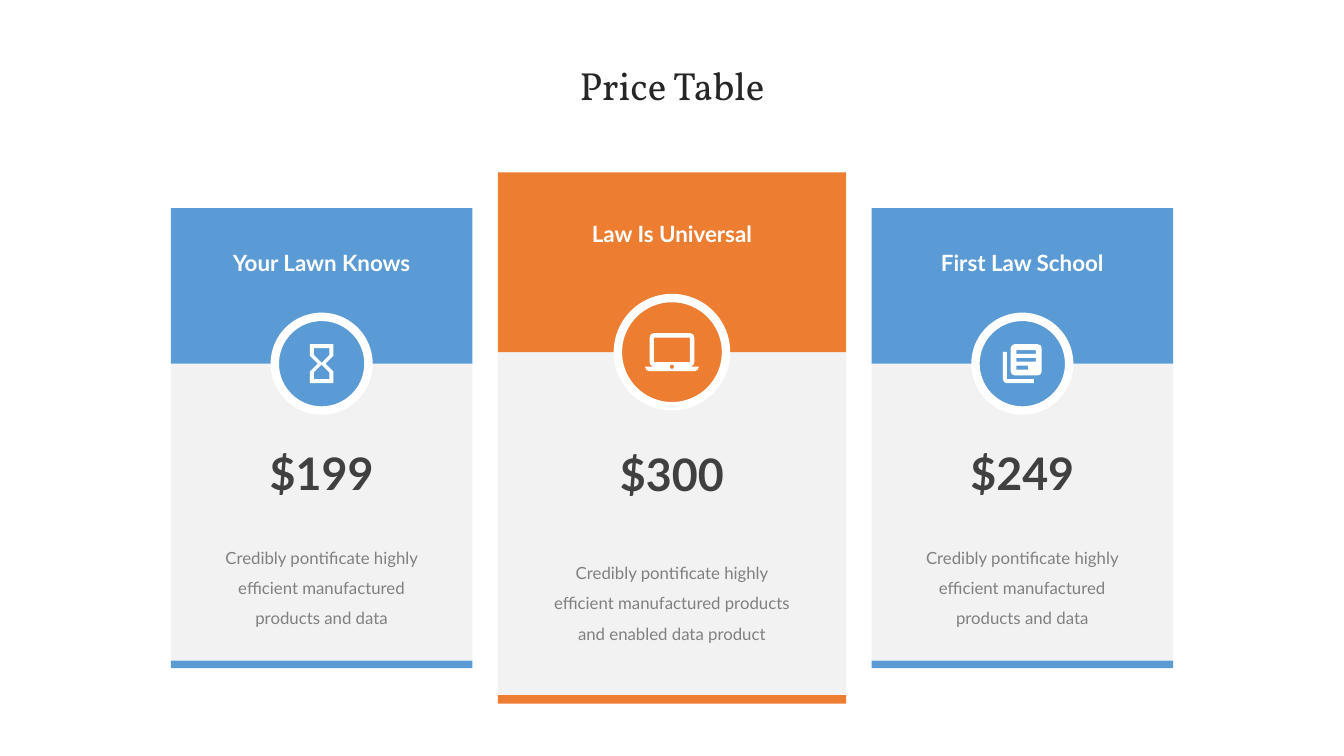
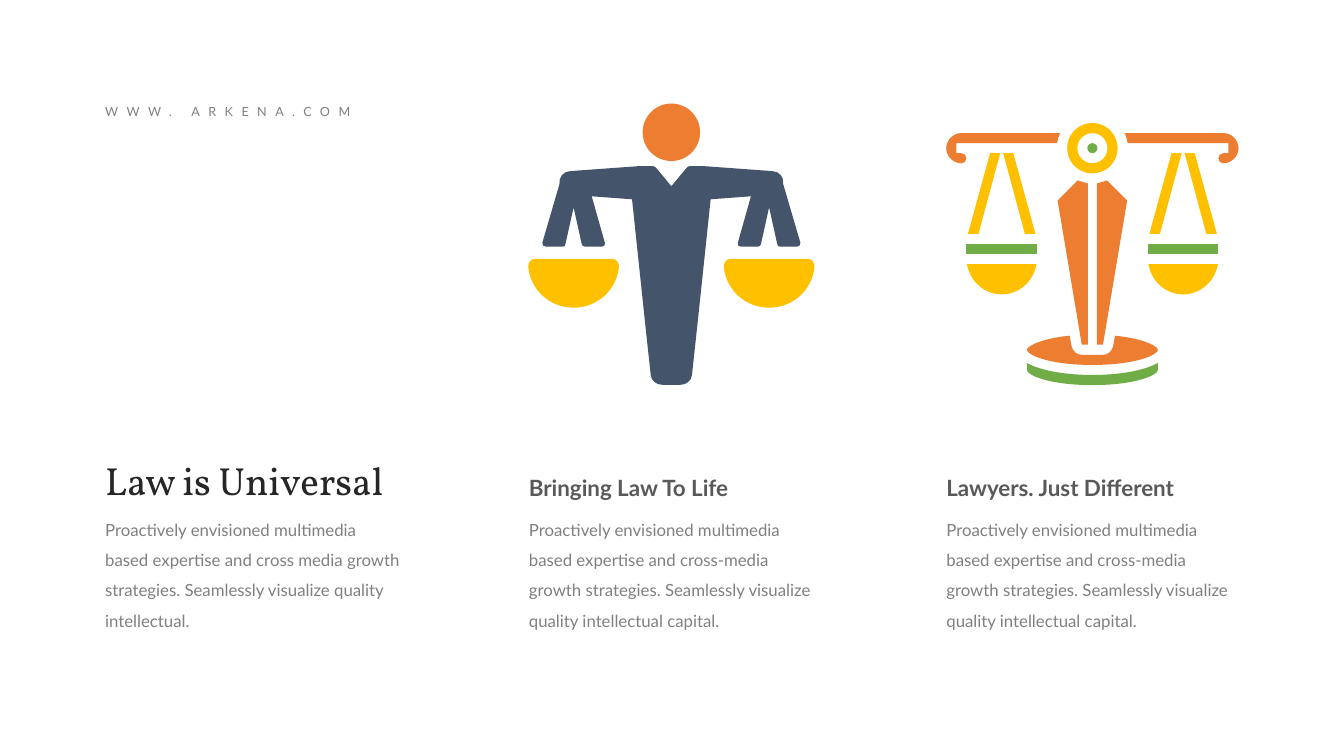
from pptx import Presentation
from pptx.dml.color import RGBColor
from pptx.enum.shapes import MSO_SHAPE
from pptx.enum.text import MSO_ANCHOR, MSO_AUTO_SIZE, PP_ALIGN
from pptx.oxml.ns import qn
from pptx.util import Cm, Pt

BLUE, ORANGE, YELLOW, GREEN = "5B9BD5", "ED7D31", "FFC000", "70AD47"
NAVY, WHITE, PALE = "44546A", "FFFFFF", "F2F2F2"
STYLES = {
    "title": ("262626", {"name": "Vollkorn", "size": Pt(28)}),
    "card name": (WHITE, {"name": "Lato", "size": Pt(16), "bold": True}),
    "heading": ("595959", {"name": "Lato", "size": Pt(16), "bold": True}),
    "price": ("404040", {"name": "Lato", "size": Pt(32), "bold": True}),
    "body": ("808080", {"name": "Lato", "size": Pt(12)}),
    "address": ("808080", {"name": "Lato", "size": Pt(9)}),
}
SLIDE_WIDTH = 33.87


def paint(target, color):
    """Give a shape or a font a solid colour; a shape also loses its line and shadow."""
    target.fill.solid()
    target.fill.fore_color.rgb = RGBColor.from_string(color)
    if hasattr(target, "shadow"):
        target.shadow.inherit = False
        target.line.fill.background()


def write(slide, text, style, left, top, width, height,
          align=PP_ALIGN.LEFT, spacing=None, anchor=MSO_ANCHOR.TOP):
    frame = slide.shapes.add_textbox(Cm(left), Cm(top), Cm(width), Cm(height)).text_frame
    settings = {"word_wrap": True, "auto_size": MSO_AUTO_SIZE.SHAPE_TO_FIT_TEXT,
                "vertical_anchor": anchor, "margin_left": 0, "margin_right": 0,
                "margin_top": 0, "margin_bottom": 0}
    for name, value in settings.items():
        setattr(frame, name, value)
    paragraph = frame.paragraphs[0]
    paragraph.alignment, paragraph.line_spacing = align, spacing
    run = paragraph.add_run()
    run.text = text
    color, font_values = STYLES[style]
    for name, value in font_values.items():
        setattr(run.font, name, value)
    paint(run.font, color)
    return run


prs = Presentation()
prs.slide_width, prs.slide_height = Cm(SLIDE_WIDTH), Cm(19.05)
price_slide, scales_slide = (prs.slides.add_slide(prs.slide_layouts[6]) for _ in range(2))

# Outlines: pairs are corners, sixes are Bezier curves (two handles and an end).
# Each entry: slide, contours, colour, origin x and y, unit x and y, mirrored about x = 0
outlines = []

# Price table: icons sit on a 24-unit grid and are centred on (0, 0)
hourglass = [
    [(-6, -10), (6, -10), (6, -4), (2, 0), (6, 4), (6, 10),
     (-6, 10), (-6, 4), (-2, 0), (-6, -4)],
    [(0, -0.5), (4, -4.5), (4, -8), (-4, -8), (-4, -4.5)],
    [(0, 0.5), (4, 4.5), (4, 8), (-4, 8), (-4, 4.5)],
]
laptop = [
    [(8, 6.5), (12, 6.5), (12, 7.6, 11.1, 8.5, 10, 8.5), (-10, 8.5),
     (-11.1, 8.5, -12, 7.6, -12, 6.5), (-8, 6.5), (-9.1, 6.5, -10, 5.6, -10, 4.5),
     (-10, -6.5), (-10, -7.6, -9.1, -8.5, -8, -8.5), (8, -8.5),
     (9.1, -8.5, 10, -7.6, 10, -6.5), (10, 4.5), (10, 5.6, 9.1, 6.5, 8, 6.5)],
    [(-8, -6.5), (8, -6.5), (8, 4.5), (-8, 4.5)],
    [(0, 5.5), (0.55, 5.5, 1, 5.95, 1, 6.5), (1, 7.05, 0.55, 7.5, 0, 7.5),
     (-0.55, 7.5, -1, 7.05, -1, 6.5), (-1, 5.95, -0.55, 5.5, 0, 5.5)],
]
books = [
    [(-8, -6), (-10, -6), (-10, 8), (-10, 9.1, -9.1, 10, -8, 10), (6, 10), (6, 8), (-8, 8)],
    [(8, -10), (-4, -10), (-5.1, -10, -6, -9.1, -6, -8), (-6, 4),
     (-6, 5.1, -5.1, 6, -4, 6), (8, 6), (9.1, 6, 10, 5.1, 10, 4),
     (10, -8), (10, -9.1, 9.1, -10, 8, -10)],
    [(-3, -7), (7, -7), (7, -5), (-3, -5)],
    [(-3, -3), (7, -3), (7, -1), (-3, -1)],
    [(-3, 1), (3, 1), (3, 3), (-3, 3)],
]
ICON_UNIT = 0.98 / 20

write(price_slide, "Price Table", "title", 8.25, 1.65, 17.37, 1.09,
      PP_ALIGN.CENTER, Pt(30), MSO_ANCHOR.MIDDLE)

side_text = "Credibly pontificate highly efficient manufactured products and data"
main_text = ("Credibly pontificate highly efficient manufactured products "
             "and enabled data product")
cards = [
    ("Your Lawn Knows", "$199", side_text, BLUE, 1, hourglass),
    ("Law Is Universal", "$300", main_text, ORANGE, 1.155, laptop),
    ("First Law School", "$249", side_text, BLUE, 1, books),
]
CARD_WIDTH, HEADER, BODY, FOOT, BADGE, CARD_GAP = 7.6, 3.92, 7.48, 0.19, 2.36, 0.64
CARD_MIDDLE = 11.04
row_width = sum(CARD_WIDTH * card[4] for card in cards) + CARD_GAP * (len(cards) - 1)
left = (SLIDE_WIDTH - row_width) / 2
for name, price, description, color, scale, icon in cards:
    width = CARD_WIDTH * scale
    center = left + width / 2
    top = CARD_MIDDLE - (HEADER + BODY + FOOT) * scale / 2
    parts = [
        (MSO_SHAPE.RECTANGLE, HEADER, CARD_WIDTH, BODY, PALE),
        (MSO_SHAPE.RECTANGLE, 0, CARD_WIDTH, HEADER, color),
        (MSO_SHAPE.RECTANGLE, HEADER + BODY, CARD_WIDTH, FOOT, color),
        (MSO_SHAPE.OVAL, HEADER - BADGE / 2, BADGE, BADGE, color),
    ]
    for kind, offset, part_width, part_height, part_color in parts:
        part = price_slide.shapes.add_shape(
            kind, Cm(center - part_width * scale / 2), Cm(top + offset * scale),
            Cm(part_width * scale), Cm(part_height * scale))
        paint(part, part_color)
        if kind == MSO_SHAPE.OVAL:
            part.line.width = Pt(6)
            paint(part.line, WHITE)
    outlines.append((price_slide, icon, WHITE, center, top + HEADER * scale,
                     ICON_UNIT * scale, ICON_UNIT * scale, False))
    for text, style, offset, text_width, text_height, spacing in [
        (name, "card name", 1.04, 4.55, 0.68, None),
        (price, "price", 5.99, 4.55, 1.37, None),
        (description, "body", 8.3, 5.59, 2.24, 1.5),
    ]:
        write(price_slide, text, style, center - text_width * scale / 2,
              top + offset * scale, text_width * scale, text_height,
              PP_ALIGN.CENTER, spacing)
    left += width + CARD_GAP

# Scales: both figures share one unit and are symmetrical about their own axis
UNIT = 2.54 / 20
PERSON_X, PERSON_Y = 16.92, 2.61
BALANCE_X, BALANCE_Y = 27.53, 3.1

person = [[
    (0, 16.4), (3, 12.8), (3.2, 12.5, 3.5, 12.4, 3.8, 12.4), (6.2, 12.4), (20, 13.4),
    (21.4, 13.4, 22.4, 14.6, 22.2, 16), (25.6, 27.6), (25.6, 28, 25.5, 28.4, 24.9, 28.4),
    (21.6, 28.4), (21.2, 28.4, 21, 28.2, 21, 27.8), (19.4, 20.6), (17.8, 27.8),
    (17.8, 28.2, 17.5, 28.4, 17.1, 28.4), (13.8, 28.4), (13.3, 28.4, 13, 28, 13.2, 27.6),
    (15.8, 18.4), (7.8, 19), (5.2, 43.6), (4.1, 53.8), (4, 55, 3, 55.8, 1.8, 55.8)]]
person_bowl = [[(7.6, 30.8), (8.4, 30.8, 9, 31.5, 9, 32.3), (8.6, 37, 4.7, 40.5, 0, 40.5)]]
strap = [[(0.3, 6), (2.3, 6), (6.7, 22), (4.6, 22)]]
tray = [[(7, 24), (7, 26)]]
balance_bowl = [[(6.9, 28), (6.3, 31.4, 3.5, 34, 0, 34)]]
arm = [[
    (26, 6), (27, 6), (27, 4), (7, 4), (6.9, 3.3, 6.7, 2.6, 6.4, 2), (26, 2),
    (27.6, 2, 29, 3.4, 29, 5), (29, 6.6, 27.6, 8, 26, 8),
    (25.4, 8, 25, 7.6, 25, 7), (25, 6.4, 25.4, 6, 26, 6)]]
post = [[(0.9, 12), (0.9, 44), (2.1, 44), (6.9, 15.4), (2.9, 11.4),
         (2.3, 11.6, 1.6, 11.8, 0.9, 12)]]
dish = [[(0, 48), (8.6, 48, 13, 46, 13, 45), (13, 44.4, 10.5, 42.8, 4.5, 42.2),
         (4.1, 44.4), (3.8, 45.4, 3, 46, 2.1, 46)]]
base = [[(0, 50), (5, 50, 10.2, 49.2, 13, 47.6), (13, 49), (13, 50, 8.6, 52, 0, 52)]]

outlines.append((scales_slide, person, NAVY, PERSON_X, PERSON_Y, UNIT, UNIT, True))
for contours, color in [(dish, ORANGE), (base, GREEN)]:
    outlines.append((scales_slide, contours, color, BALANCE_X, BALANCE_Y, UNIT, UNIT, True))
for side in (-1, 1):
    pan_x = BALANCE_X + side * 18 * UNIT
    for contours, color, x, y, mirrored in [
        (person_bowl, YELLOW, PERSON_X + side * 19.4 * UNIT, PERSON_Y, True),
        (arm, ORANGE, BALANCE_X, BALANCE_Y, False),
        (post, ORANGE, BALANCE_X, BALANCE_Y, False),
        (tray, GREEN, pan_x, BALANCE_Y, True),
        (balance_bowl, YELLOW, pan_x, BALANCE_Y, True),
    ]:
        outlines.append((scales_slide, contours, color, x, y, side * UNIT, UNIT, mirrored))
    for strap_side in (-1, 1):
        outlines.append((scales_slide, strap, YELLOW, pan_x, BALANCE_Y,
                         strap_side * UNIT, UNIT, False))

for kind, color, x, y, radius in [
    (MSO_SHAPE.OVAL, ORANGE, PERSON_X, PERSON_Y + 5.7 * UNIT, 5.7 * UNIT),
    (MSO_SHAPE.DONUT, YELLOW, BALANCE_X, BALANCE_Y + 5 * UNIT, 5 * UNIT),
    (MSO_SHAPE.OVAL, GREEN, BALANCE_X, BALANCE_Y + 5 * UNIT, UNIT),
]:
    disc = scales_slide.shapes.add_shape(
        kind, Cm(x - radius), Cm(y - radius), Cm(2 * radius), Cm(2 * radius))
    paint(disc, color)
    if kind == MSO_SHAPE.DONUT:
        disc.adjustments[0] = 0.2

address = write(scales_slide, "WWW. ARKENA.COM", "address", 2.65, 2.62, 7.11, 0.38)
address.font._element.set("spc", "600")
write(scales_slide, "Law is Universal", "title", 2.65, 11.5, 7.5, 1.19,
      anchor=MSO_ANCHOR.MIDDLE)
write(scales_slide, "Proactively envisioned multimedia based expertise and cross media growth "
      "strategies. Seamlessly visualize quality intellectual.",
      "body", 2.65, 12.84, 7.5, 3, spacing=1.5)
for heading, column_left in [("Bringing Law To Life", 13.33), ("Lawyers. Just Different", 23.85)]:
    write(scales_slide, heading, "heading", column_left, 11.94, 7.35, 0.68)
    write(scales_slide, "Proactively envisioned multimedia based expertise and cross-media "
          "growth strategies. Seamlessly visualize quality intellectual capital.",
          "body", column_left, 12.84, 7.35, 3, spacing=1.5)

for slide, contours, color, x, y, unit_x, unit_y, mirrored in outlines:
    builder, knot_counts = None, []
    for contour in contours:
        segments = [list(zip(segment[::2], segment[1::2])) for segment in contour]
        if mirrored:
            backward = [[(-px, py) for px, py in reversed([before[-1], *after[:-1]])]
                        for before, after in zip(segments, segments[1:])]
            last_x, last_y = segments[-1][-1]
            if last_x:
                segments.append([(-last_x, last_y)])
            segments += reversed(backward)
        places = [(Cm(x + px * unit_x), Cm(y + py * unit_y))
                  for segment in segments for px, py in segment]
        if builder is None:
            builder = slide.shapes.build_freeform(*places[0])
        else:
            builder.move_to(*places[0])
        builder.add_line_segments(places[1:], close=True)
        knot_counts += [len(segment) for segment in segments[1:]]
    outline = builder.convert_to_shape()
    paint(outline, color)
    # Join the three knots of each curve into one Bezier element
    lines = iter(list(outline._element.iter(qn("a:lnTo"))))
    for count in knot_counts:
        curve = next(lines)
        if count == 3:
            curve.tag = qn("a:cubicBezTo")
            for _ in range(2):
                knot = next(lines)
                curve.append(knot[0])
                knot.getparent().remove(knot)

prs.save("out.pptx")
